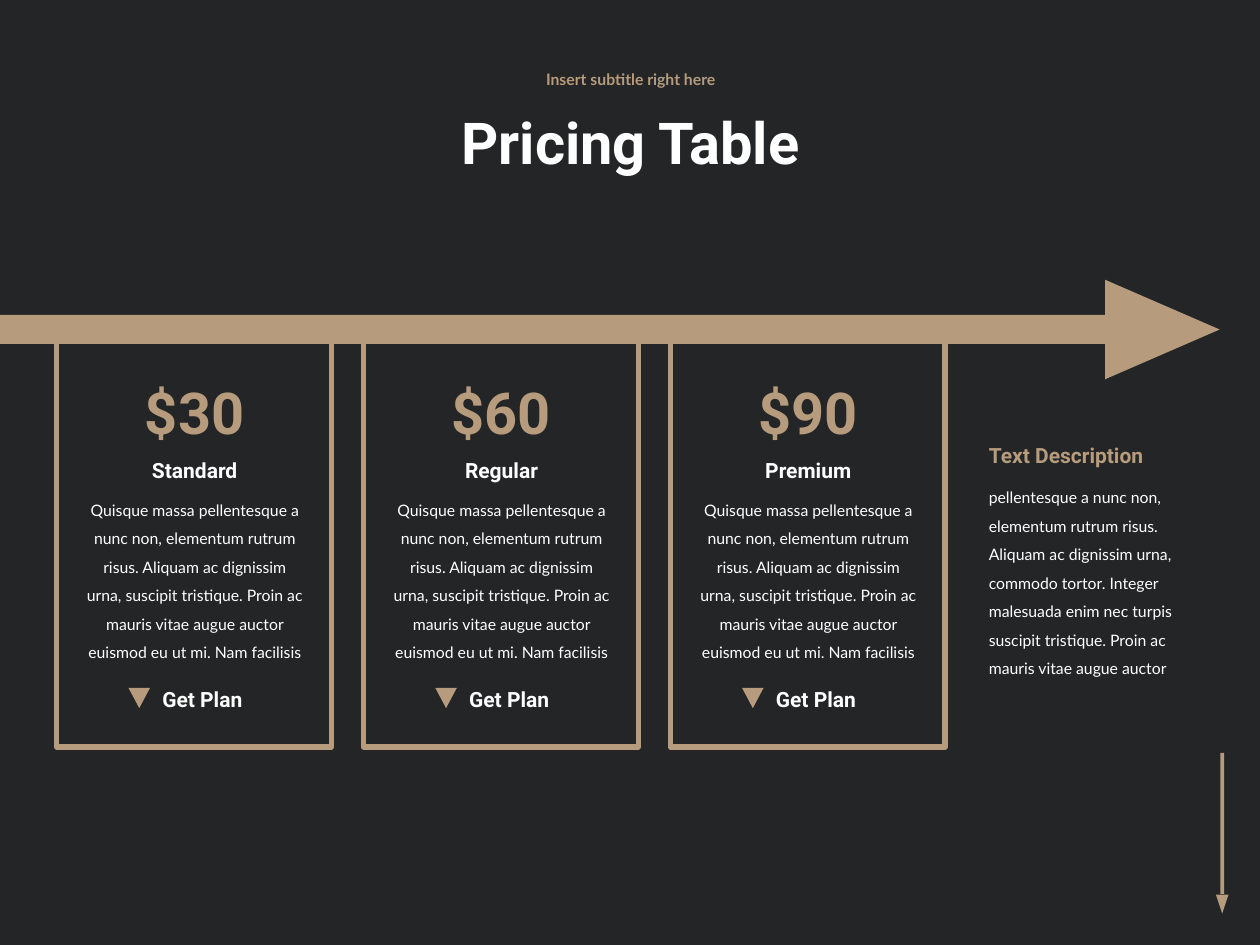
from typing import NamedTuple

from pptx import Presentation
from pptx.dml.color import RGBColor
from pptx.enum.shapes import MSO_SHAPE as Shape
from pptx.enum.text import MSO_ANCHOR as Anchor, MSO_AUTO_SIZE as Fit, PP_ALIGN as Align
from pptx.util import Inches, Pt

DARK = RGBColor(0x24, 0x25, 0x27)
GOLD = RGBColor(0xB6, 0x9B, 0x7D)
WHITE = RGBColor(0xFF, 0xFF, 0xFF)

LEFT = 0.45
STEP = 2.435
BODY = (
    "Quisque massa pellentesque a nunc non, elementum rutrum risus. "
    "Aliquam ac dignissim urna, suscipit tristique. Proin ac mauris vitae "
    "augue auctor euismod eu ut mi. Nam facilisis"
)
ASIDE = (
    "pellentesque a nunc non, elementum rutrum risus. Aliquam ac dignissim "
    "urna, commodo tortor. Integer malesuada enim nec turpis suscipit "
    "tristique. Proin ac mauris vitae augue auctor"
)


class Box(NamedTuple):
    x: float
    y: float
    w: float
    h: float


class Plan(NamedTuple):
    price: str
    name: str


PLANS = [Plan("$30", "Standard"), Plan("$60", "Regular"), Plan("$90", "Premium")]


def add_text(slide, text: str, box: Box, *, size: float = 12, font: str = "Roboto",
             color: RGBColor = WHITE, bold: bool = True, align: Align = Align.CENTER,
             space: float = 1.0, anchor: Anchor = Anchor.TOP,
             fit: Fit = Fit.SHAPE_TO_FIT_TEXT) -> None:
    frame = slide.shapes.add_textbox(*map(Inches, box)).text_frame
    frame.word_wrap = True
    frame.auto_size = fit
    frame.vertical_anchor = anchor
    para = frame.paragraphs[0]
    para.alignment = align
    para.line_spacing = space
    run = para.add_run()
    run.text = text
    run.font.size = Pt(size)
    run.font.name = font
    run.font.bold = bold
    run.font.color.rgb = color


def add_shape(slide, kind: Shape, box: Box, *, fill: RGBColor = GOLD,
              edge: float = 0, turn: float = 0) -> None:
    shape = slide.shapes.add_shape(kind, *map(Inches, box))
    shape.shadow.inherit = False
    shape.rotation = turn
    shape.fill.solid()
    shape.fill.fore_color.rgb = fill
    if edge:
        shape.line.color.rgb = GOLD
        shape.line.width = Pt(edge)
    else:
        shape.line.fill.background()


def add_plan(slide, plan: Plan, x: float) -> None:
    add_text(slide, plan.price, Box(x + 0.45, 2.94, 1.29, 0.66), size=33, color=GOLD)
    add_text(slide, plan.name, Box(x + 0.39, 3.58, 1.41, 0.3))
    add_text(slide, BODY, Box(x + 0.14, 3.85, 1.91, 1.44),
             size=9, font="Lato", bold=False, space=1.5)
    add_text(slide, "Get Plan", Box(x + 0.74, 5.4, 0.96, 0.3), align=Align.LEFT)
    add_shape(slide, Shape.ISOSCELES_TRIANGLE, Box(x + 0.57, 5.46, 0.17, 0.16), turn=180)


def main() -> None:
    deck = Presentation()
    deck.slide_width, deck.slide_height = Inches(10), Inches(7.5)
    slide = deck.slides.add_slide(deck.slide_layouts[6])
    slide.background.fill.solid()
    slide.background.fill.fore_color.rgb = DARK

    add_shape(slide, Shape.RECTANGLE, Box(9.14, 6.52, 1.12, 0.03), turn=90)
    add_shape(slide, Shape.ISOSCELES_TRIANGLE, Box(9.65, 7.1, 0.1, 0.15), turn=180)

    spots = [LEFT + STEP * i for i in range(len(PLANS))]
    for x in spots:
        add_shape(slide, Shape.RECTANGLE, Box(x, 2.59, 2.18, 3.34), fill=DARK, edge=3)

    add_text(slide, "Pricing Table", Box(2.19, 0.64, 5.63, 1.03),
             size=33, space=0.9, anchor=Anchor.MIDDLE, fit=Fit.NONE)
    add_text(slide, "Insert subtitle right here", Box(2.19, 0.45, 5.63, 0.38), size=9,
             font="Lato", color=GOLD, space=0.9, anchor=Anchor.MIDDLE, fit=Fit.NONE)

    add_shape(slide, Shape.RECTANGLE, Box(-0.21, 2.5, 8.99, 0.23))
    add_shape(slide, Shape.ISOSCELES_TRIANGLE, Box(8.83, 2.16, 0.79, 0.91), turn=90)

    add_text(slide, ASIDE, Box(7.75, 3.75, 1.77, 1.67),
             size=9, font="Lato", bold=False, align=Align.LEFT, space=1.5)
    add_text(slide, "Text Description", Box(7.75, 3.46, 1.77, 0.3),
             color=GOLD, align=Align.LEFT)

    for plan, x in zip(PLANS, spots):
        add_plan(slide, plan, x)

    deck.save("out.pptx")


if __name__ == "__main__":
    main()
